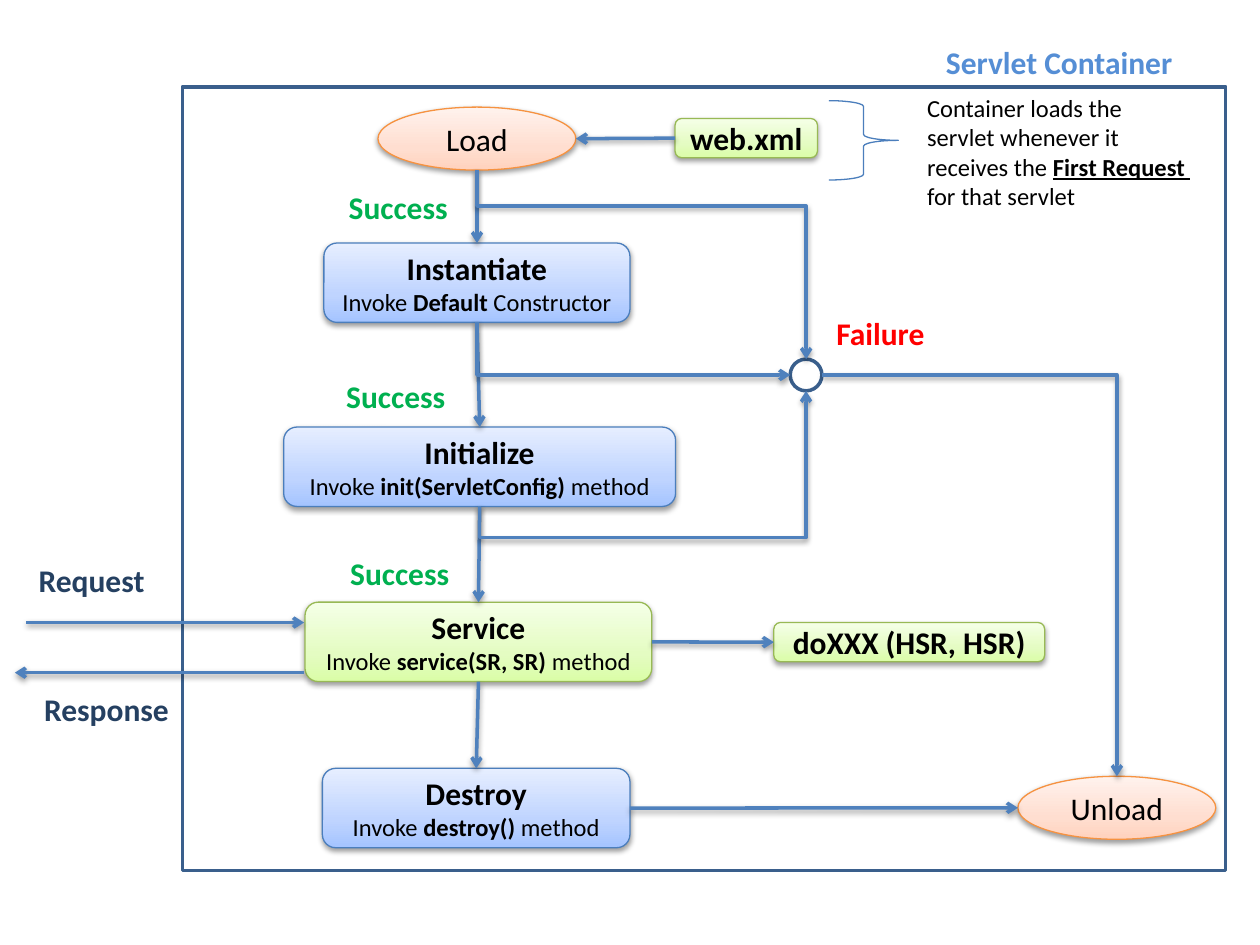
"""Build the servlet life cycle diagram slide."""
import copy

import pptx
import pptx.dml.color
import pptx.enum.dml
import pptx.enum.shapes
import pptx.enum.text
import pptx.oxml
import pptx.oxml.ns
import pptx.util

Cm, Pt = pptx.util.Cm, pptx.util.Pt
qn = pptx.oxml.ns.qn
SHAPES = pptx.enum.shapes.MSO_SHAPE
CONNECTORS = pptx.enum.shapes.MSO_CONNECTOR

FONT = "Calibri"
TOP, LEFT, BOTTOM, RIGHT = range(4)
STOPS = (0, 0.35, 1)
THEMES = {
    "blue": (("A4C4FF", "BFD4FF", "E6EEFF"), "4B7EBC"),
    "green": (("DAFDA7", "E4FCC2", "F5FFE7"), "98B955"),
    "orange": (("FFD2BD", "FFDED0", "FFF2ED"), "F69240"),
}
ROUNDED, OVAL = SHAPES.FLOWCHART_ALTERNATE_PROCESS, SHAPES.OVAL

# Text between asterisks is bold.
NODES = {
    "instantiate": (ROUNDED, "blue", (6.53, 4.9, 6.17, 1.6), ["*Instantiate*", "Invoke *Default* Constructor"]),
    "load": (OVAL, "orange", (7.62, 2.16, 3.99, 1.27), ["Load"]),
    "unload": (OVAL, "orange", (20.52, 15.65, 3.99, 1.27), ["Unload"]),
    "initialize": (ROUNDED, "blue", (5.72, 8.61, 7.9, 1.6), ["*Initialize*", "Invoke *init(ServletConfig) *method"]),
    "service": (ROUNDED, "green", (6.15, 12.14, 6.99, 1.6), ["*Service*", "Invoke *service(SR, SR) *method"]),
    "handler": (ROUNDED, "green", (15.6, 12.55, 5.46, 0.79), ["*doXXX (HSR, HSR)*"]),
    "destroy": (ROUNDED, "blue", (6.5, 15.49, 6.2, 1.6), ["*Destroy*", "Invoke *destroy() *method"]),
    "descriptor": (ROUNDED, "green", (13.61, 2.39, 2.87, 0.79), ["*web.xml*"]),
}
OUTLINES = {
    "container": (SHAPES.RECTANGLE, (3.68, 1.75, 21.03, 15.8), None, "3A5F8C", 2),
    "joint": (SHAPES.FLOWCHART_CONNECTOR, (15.93, 7.24, 0.64, 0.64), "FFFFFF", "3A5F8C", 2),
    "brace": (SHAPES.RIGHT_BRACE, (16.71, 2.03, 1.4, 1.6), None, "4B7EBC", 0.75),
}
STRAIGHT_LINKS = [
    ("load", BOTTOM, "instantiate", TOP),
    ("instantiate", BOTTOM, "initialize", TOP),
    ("initialize", BOTTOM, "service", TOP),
    ("service", BOTTOM, "destroy", TOP),
    ("destroy", RIGHT, "unload", LEFT),
    ("service", RIGHT, "handler", LEFT),
    ("descriptor", LEFT, "load", RIGHT),
]
ELBOW_LINKS = [
    ("load", BOTTOM, "joint", TOP, "bentConnector3", 0.19),
    ("instantiate", BOTTOM, "joint", LEFT, "bentConnector2", None),
    ("initialize", BOTTOM, "joint", BOTTOM, "bentConnector3", -0.27),
    ("joint", RIGHT, "unload", TOP, "bentConnector2", None),
]
MESSAGES = [((0.53, 12.55), (6.13, 12.55)), ((6.13, 13.56), (0.3, 13.56))]
LABELS = [
    ("Servlet Container", 18.82, 0.74, 5.13, "558ED5"),
    ("Failure", 16.61, 6.2, 2.31, "FF0000"),
    ("Success", 6.78, 3.66, 2.51, "00B050"),
    ("Success", 6.73, 7.47, 2.51, "00B050"),
    ("Success", 6.81, 11.05, 2.51, "00B050"),
    ("Request", 0.53, 11.18, 2.67, "254061"),
    ("Response", 0.64, 13.79, 3.05, "254061"),
]
NOTE_BOX = (18.44, 1.75, 5.87, 2.64)
NOTE = ["Container loads the", "servlet whenever it", "receives the *First Request *", "for that servlet"]


def rgb(value):
    """Turn a hex string into a colour."""
    return pptx.dml.color.RGBColor.from_string(value)


def lengths(values):
    """Turn centimetre numbers into lengths."""
    return [Cm(value) for value in values]


def set_line(line, color, width):
    """Colour and size an outline."""
    line.color.rgb = rgb(color)
    line.width = Pt(width)


def add_shadow(shape):
    """Give a shape a soft shadow below it."""
    properties = shape.element.spPr
    for effects in properties.findall(qn("a:effectLst")):
        properties.remove(effects)
    properties.append(pptx.oxml.parse_xml(
        f'<a:effectLst {pptx.oxml.ns.nsdecls("a")}>'
        '<a:outerShdw blurRad="40000" dist="20000" dir="5400000" rotWithShape="0">'
        '<a:srgbClr val="000000"><a:alpha val="38000"/></a:srgbClr>'
        '</a:outerShdw></a:effectLst>'))


def write(text_frame, lines, sizes, color="000000", align=None, underline=None):
    """Write lines whose starred parts are bold."""
    for index, (line, size) in enumerate(zip(lines, sizes)):
        paragraph = text_frame.paragraphs[0] if index == 0 else text_frame.add_paragraph()
        paragraph.alignment = align
        for part, text in enumerate(line.split("*")):
            if text:
                run = paragraph.add_run()
                run.text = text
                run.font.name, run.font.size = FONT, Pt(size)
                run.font.color.rgb = rgb(color)
                run.font.bold = part % 2 == 1
                run.font.underline = underline if part % 2 else None


def add_node(slide, kind, theme, box, lines):
    """Add a gradient step with centred text."""
    shape = slide.shapes.add_shape(kind, *lengths(box))
    colors, outline = THEMES[theme]
    shape.fill.gradient()
    shape.fill.gradient_angle = 90
    stop_list = shape.element.spPr.find(".//" + qn("a:gsLst"))
    stop_list.insert(1, copy.deepcopy(stop_list[0]))
    for stop, position, color in zip(shape.fill.gradient_stops, STOPS, colors):
        stop.position = position
        stop.color.rgb = rgb(color)
    set_line(shape.line, outline, 0.75)
    add_shadow(shape)
    shape.text_frame.vertical_anchor = pptx.enum.text.MSO_ANCHOR.MIDDLE
    write(shape.text_frame, lines, (18, 14), align=pptx.enum.text.PP_ALIGN.CENTER)
    return shape


def add_outline(slide, kind, box, fill, color, width):
    """Add a plain outlined shape."""
    shape = slide.shapes.add_shape(kind, *lengths(box))
    shape.shadow.inherit = False
    if fill:
        shape.fill.solid()
        shape.fill.fore_color.rgb = rgb(fill)
    else:
        shape.fill.background()
    set_line(shape.line, color, width)
    return shape


def add_text(slide, box, lines, size, color="000000", underline=None):
    """Add an unwrapped text box."""
    text_frame = slide.shapes.add_textbox(*lengths(box)).text_frame
    text_frame.word_wrap = False
    text_frame.auto_size = pptx.enum.text.MSO_AUTO_SIZE.SHAPE_TO_FIT_TEXT
    write(text_frame, lines, [size] * len(lines), color, underline=underline)


def side_point(shape, side):
    """Return the middle of one side of a shape."""
    across, down = {TOP: (1, 0), LEFT: (0, 1), BOTTOM: (1, 2), RIGHT: (2, 1)}[side]
    return shape.left + shape.width * across // 2, shape.top + shape.height * down // 2


def add_arrow(slide, kind, start, end):
    """Add a connector with an arrowhead at its end."""
    connector = slide.shapes.add_connector(kind, *start, *end)
    set_line(connector.line, "4F81BD", 2)
    connector.line._get_or_add_ln().append(
        pptx.oxml.parse_xml(f'<a:tailEnd {pptx.oxml.ns.nsdecls("a")} type="arrow"/>'))
    add_shadow(connector)
    return connector


def add_straight(slide, first, first_side, last, last_side):
    """Link two shapes, joining the ends that meet rounded boxes."""
    connector = add_arrow(slide, CONNECTORS.STRAIGHT, side_point(first, first_side), side_point(last, last_side))
    if first.auto_shape_type == ROUNDED:
        connector.begin_connect(first, first_side)
    if last.auto_shape_type == ROUNDED:
        connector.end_connect(last, last_side)


def add_elbow(slide, first, first_side, last, last_side, preset, bend):
    """Link two shapes by an elbow, turned when it leaves vertically."""
    start, end = side_point(first, first_side), side_point(last, last_side)
    connector = add_arrow(slide, CONNECTORS.ELBOW, start, end)
    if first_side == BOTTOM:
        width, height = abs(end[1] - start[1]), abs(end[0] - start[0])
        connector.left = (start[0] + end[0] - width) // 2
        connector.top = (start[1] + end[1] - height) // 2
        connector.width, connector.height = width, height
        transform = connector.element.spPr.find(qn("a:xfrm"))
        transform.set("rot", "16200000")
        transform.set("flipH", str(int(end[1] > start[1])))
        transform.set("flipV", "0")
    geometry = connector.element.spPr.find(qn("a:prstGeom"))
    geometry.set("prst", preset)
    if bend is not None:
        geometry.find(qn("a:avLst")).append(pptx.oxml.parse_xml(
            f'<a:gd {pptx.oxml.ns.nsdecls("a")} name="adj1" fmla="val {round(bend * 100000)}"/>'))


def main():
    """Build and save the slide."""
    presentation = pptx.Presentation()
    presentation.slide_width, presentation.slide_height = Cm(25.4), Cm(19.05)
    slide = presentation.slides.add_slide(presentation.slide_layouts[6])
    shapes = {name: add_outline(slide, *outline) for name, outline in OUTLINES.items()}
    shapes.update({name: add_node(slide, *node) for name, node in NODES.items()})
    for first, first_side, last, last_side in STRAIGHT_LINKS:
        add_straight(slide, shapes[first], first_side, shapes[last], last_side)
    for first, first_side, last, last_side, preset, bend in ELBOW_LINKS:
        add_elbow(slide, shapes[first], first_side, shapes[last], last_side, preset, bend)
    for start, end in MESSAGES:
        add_arrow(slide, CONNECTORS.STRAIGHT, lengths(start), lengths(end))
    for text, left, top, width, color in LABELS:
        add_text(slide, (left, top, width, 1.02), [f"*{text}*"], 18, color)
    add_text(slide, NOTE_BOX, NOTE, 14, underline=True)
    presentation.save("out.pptx")


if __name__ == "__main__":
    main()
